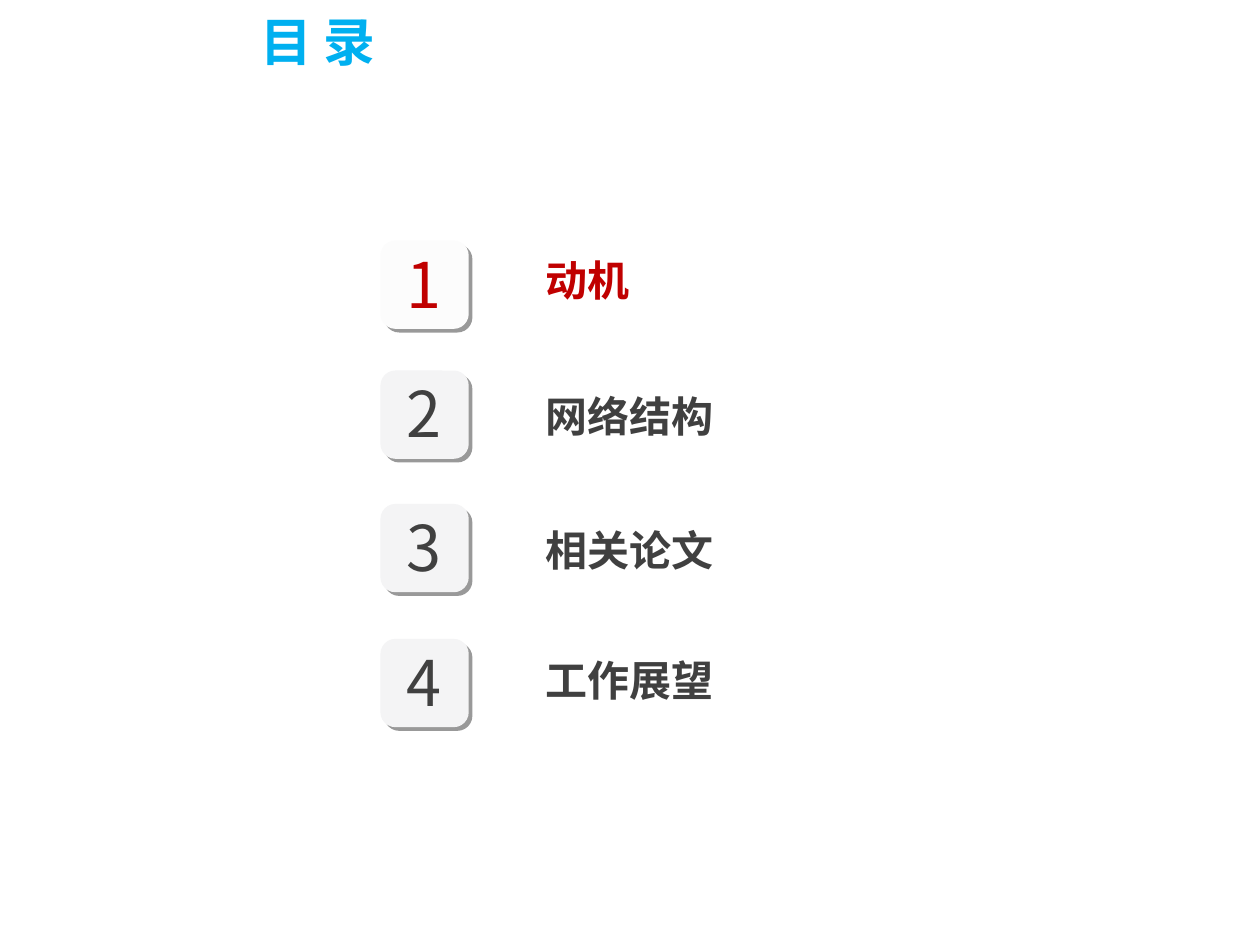
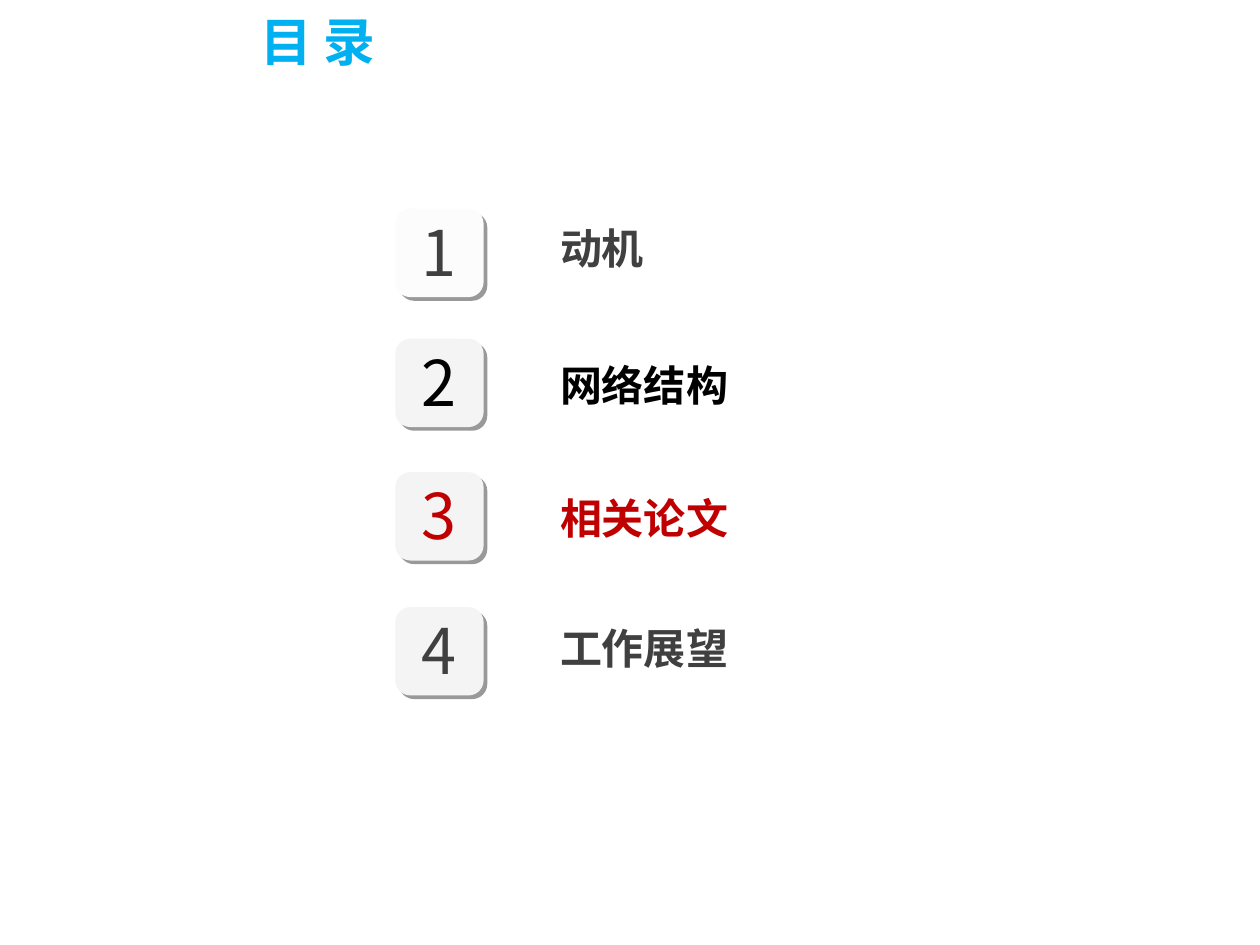
from dataclasses import dataclass

from lxml import etree
from pptx import Presentation
from pptx import util as u
from pptx.dml.color import RGBColor
from pptx.enum import shapes, text
from pptx.oxml import ns


@dataclass(frozen=True)
class Theme:
    font: str = "Noto Sans CJK SC"
    heading: str = "00B0F0"
    active: str = "C00000"
    normal: str = "404040"
    black: str = "000000"
    first_tile: str = "FCFCFC"
    tile: str = "F4F4F5"
    heading_size: float = 29.6
    number_size: float = 36
    label_size: float = 24


@dataclass(frozen=True)
class Entry:
    label: str
    tile_top: float
    label_drop: float
    fill: str


@dataclass(frozen=True)
class Agenda:
    left: float
    rise: float
    colours: tuple[str, ...]


THEME = Theme()
TILE_SIZE = 1.78
LABEL_OFFSET = 3.07
ENTRIES = (
    Entry("动机", 4.85, 0.15, THEME.first_tile),
    Entry("网络结构", 7.47, 0.28, THEME.tile),
    Entry("相关论文", 10.16, 0.28, THEME.tile),
    Entry("工作展望", 12.88, 0.18, THEME.tile),
)
AGENDAS = (
    Agenda(7.67, 0, (THEME.active, THEME.normal, THEME.normal, THEME.normal)),
    Agenda(7.97, 0.64, (THEME.normal, THEME.black, THEME.active, THEME.normal)),
)


def add_span(para, words: str, size: float, colour: str, bold: bool) -> None:
    span = para.add_run()
    span.text = words
    span.font.name = THEME.font
    span.font.size = u.Pt(size)
    span.font.bold = bold
    span.font.color.rgb = RGBColor.from_string(colour)
    east_asian = etree.Element(ns.qn("a:ea"), typeface=THEME.font)
    span.font._element.find(ns.qn("a:latin")).addnext(east_asian)


def set_frame(frame, left_inset: float, wrap: bool) -> None:
    frame.word_wrap = wrap
    frame.vertical_anchor = text.MSO_ANCHOR.TOP
    frame.margin_left = u.Cm(left_inset)
    frame.margin_right = u.Cm(0.25)
    frame.margin_top = frame.margin_bottom = u.Cm(0.13)


def add_text(parent, left: float, top: float, width: float, height: float,
             words: str, size: float, colour: str, bold: bool,
             left_inset: float = 0.25) -> None:
    box = parent.add_textbox(u.Cm(left), u.Cm(top), u.Cm(width), u.Cm(height))
    set_frame(box.text_frame, left_inset, wrap=False)
    box.text_frame.auto_size = text.MSO_AUTO_SIZE.SHAPE_TO_FIT_TEXT
    add_span(box.text_frame.paragraphs[0], words, size, colour, bold)


def add_hard_shadow(shape) -> None:
    """Cast an unblurred shadow down and to the right."""
    shape.shadow.inherit = False
    effects = shape._element.spPr.find(ns.qn("a:effectLst"))
    shadow = etree.SubElement(effects, ns.qn("a:outerShdw"), blurRad="0",
                              dist=str(u.Pt(3)), dir="2700000",
                              algn="tl", rotWithShape="0")
    colour = etree.SubElement(shadow, ns.qn("a:srgbClr"), val=THEME.black)
    etree.SubElement(colour, ns.qn("a:alpha"), val="40000")


def add_tile(page, number: int, left: float, top: float,
             fill: str, colour: str) -> None:
    group = page.shapes.add_group_shape()
    tile = group.shapes.add_shape(
        shapes.MSO_SHAPE.ROUNDED_RECTANGLE,
        u.Cm(left), u.Cm(top), u.Cm(TILE_SIZE), u.Cm(TILE_SIZE))
    tile.adjustments[0] = 0.17
    tile.fill.solid()
    tile.fill.fore_color.rgb = RGBColor.from_string(fill)
    tile.line.fill.background()
    add_hard_shadow(tile)
    add_text(group.shapes, left - 0.23, top - 0.04, 1.8, TILE_SIZE, str(number),
             THEME.number_size, colour, bold=False, left_inset=0.76)


def add_heading(page) -> None:
    title = page.shapes.title
    title.left, title.top = u.Cm(1.02), u.Cm(0.2)
    title.width, title.height = u.Cm(18.11), u.Cm(1.6)
    frame = title.text_frame
    set_frame(frame, 4.23, wrap=True)
    frame.auto_size = text.MSO_AUTO_SIZE.NONE
    para = frame.paragraphs[0]
    para.alignment = text.PP_ALIGN.LEFT
    para.line_spacing = 0.9
    add_span(para, "目 录", THEME.heading_size, THEME.heading, bold=True)


def add_agenda(deck, agenda: Agenda) -> None:
    page = deck.slides.add_slide(deck.slide_layouts.get_by_name("Title Only"))
    add_heading(page)
    for number, (entry, colour) in enumerate(zip(ENTRIES, agenda.colours), 1):
        top = entry.tile_top - agenda.rise
        add_tile(page, number, agenda.left, top, entry.fill, colour)
        add_text(page.shapes, agenda.left + LABEL_OFFSET, top + entry.label_drop,
                 0.5 + 0.85 * len(entry.label), 1.27, entry.label,
                 THEME.label_size, colour, bold=True)


def main() -> None:
    deck = Presentation()
    deck.slide_width, deck.slide_height = u.Cm(25.4), u.Cm(19.05)
    for agenda in AGENDAS:
        add_agenda(deck, agenda)
    deck.save("out.pptx")


if __name__ == "__main__":
    main()
